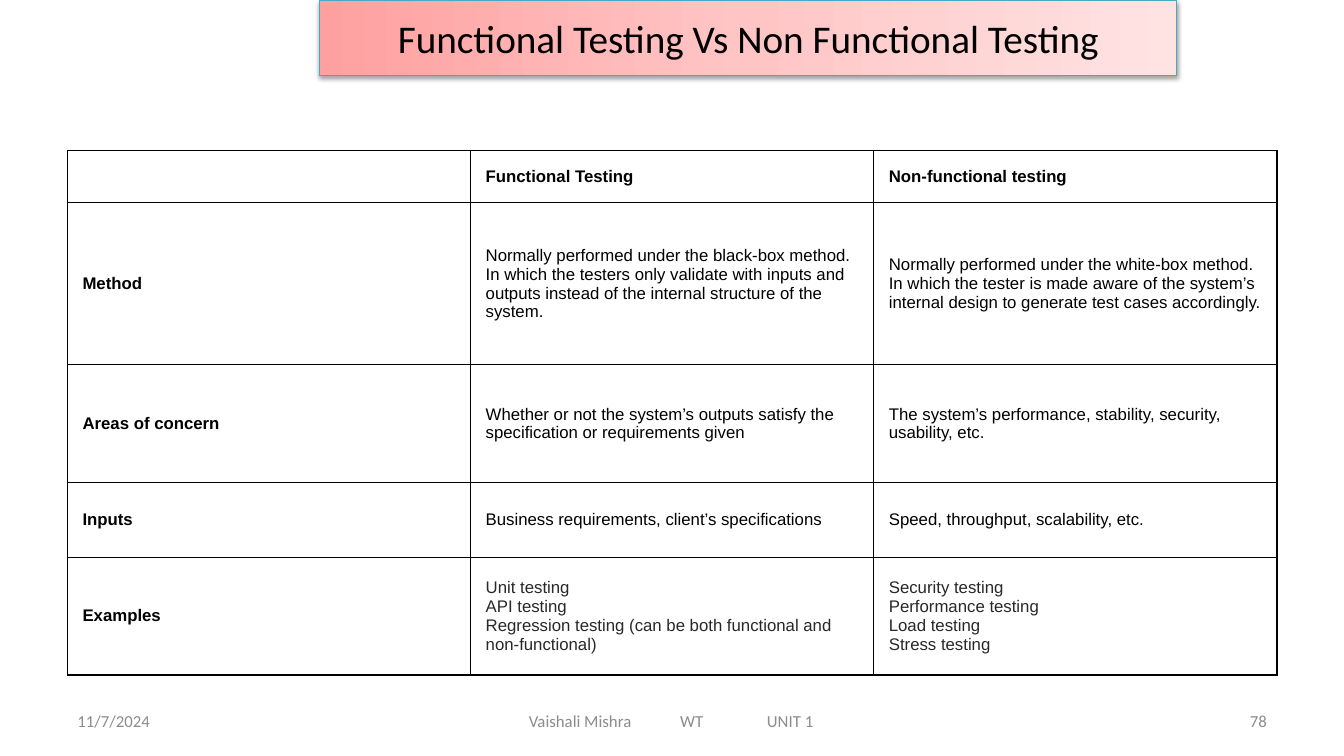
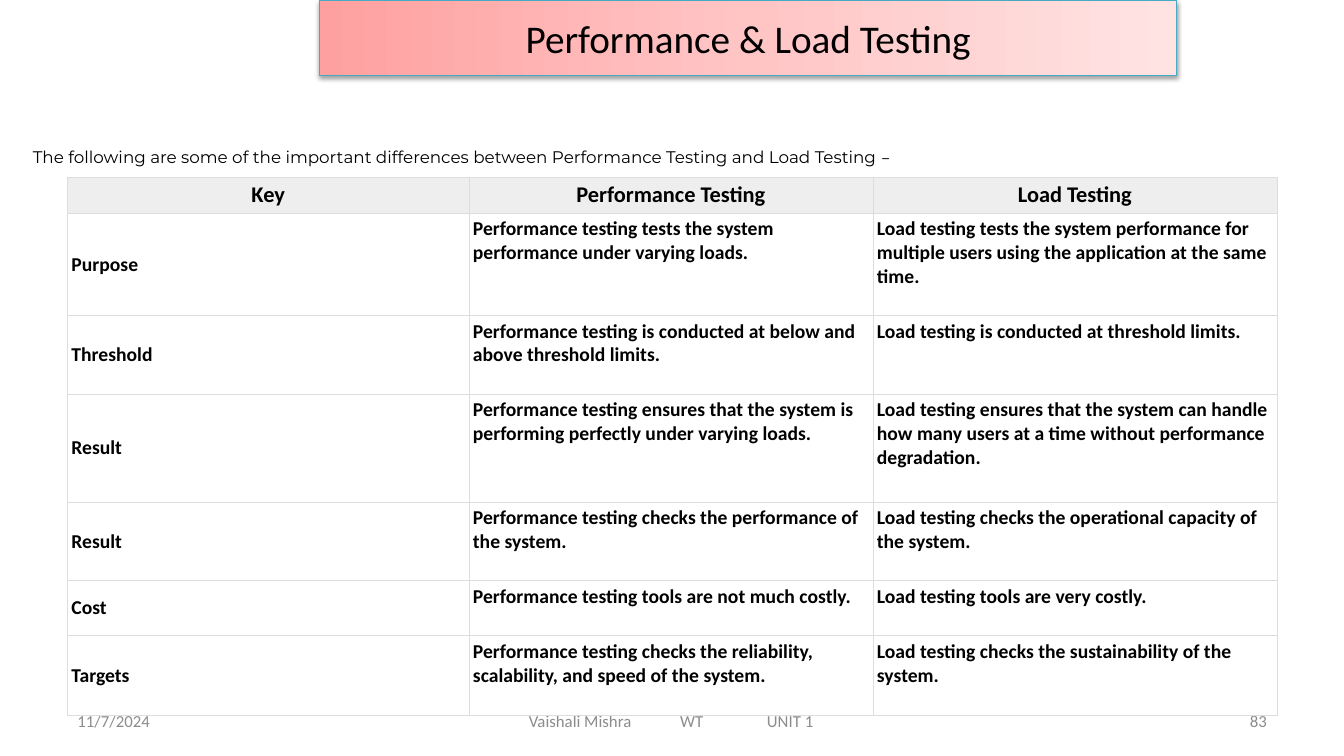
from lxml import etree
from pptx import Presentation
from pptx.dml.color import RGBColor
from pptx.enum.text import MSO_ANCHOR as Anchor, MSO_AUTO_SIZE as AutoSize, PP_ALIGN as Align
from pptx.oxml import parse_xml
from pptx.oxml.ns import nsdecls, qn
from pptx.util import Cm, Pt
from copy import deepcopy

BLACK = RGBColor(0x00, 0x00, 0x00)
WHITE = RGBColor(0xFF, 0xFF, 0xFF)
CHARCOAL = RGBColor(0x28, 0x28, 0x28)
FOOTER_GREY = RGBColor(0x8C, 0x8C, 0x8C)
HEADER_GREY = RGBColor(0xEE, 0xEE, 0xEE)
RULE_GREY = RGBColor(0xDD, 0xDD, 0xDD)
BAND_LINE = RGBColor(0x46, 0xAA, 0xC5)
BAND_STOPS = [(0, RGBColor(0xFF, 0xA0, 0xA0)), (0.5, RGBColor(0xFF, 0xC5, 0xC5)),
              (1, RGBColor(0xFF, 0xE3, 0xE3))]

# Content
DATE = "11/7/2024"
FOOTER = "Vaishali Mishra\tWT\tUNIT 1"
FOOTER_TABS = (3.81, 6)

FUNCTIONAL_ROWS = [
    ("", "Functional Testing", "Non-functional testing"),
    ("Method",
     "Normally performed under the black-box method. In which the testers only validate with "
     "inputs and outputs instead of the internal structure of the system.",
     "Normally performed under the white-box method. In which the tester is made aware of the "
     "system’s internal design to generate test cases accordingly."),
    ("Areas of concern",
     "Whether or not the system’s outputs satisfy the specification or requirements given",
     "The system’s performance, stability, security, usability, etc."),
    ("Inputs", "Business requirements, client’s specifications",
     "Speed, throughput, scalability, etc."),
    ("Examples",
     "Unit testing\nAPI testing\nRegression testing (can be both functional and non-functional)",
     "Security testing\nPerformance testing\nLoad testing\nStress testing"),
]

INTRO = ("The following are some of the important differences between "
         "Performance Testing and Load Testing ")
LOAD_ROWS = [
    ("Key", "Performance Testing", "Load Testing"),
    ("Purpose", "Performance testing tests the system performance under varying loads.",
     "Load testing tests the system performance for multiple users using the application "
     "at the same time."),
    ("Threshold", "Performance testing is conducted at below and above threshold limits.",
     "Load testing is conducted at threshold limits."),
    ("Result",
     "Performance testing ensures that the system is performing perfectly under varying loads.",
     "Load testing ensures that the system can handle how many users at a time without "
     "performance degradation."),
    ("Result", "Performance testing checks the performance of the system.",
     "Load testing checks the operational capacity of the system."),
    ("Cost", "Performance testing tools are not much costly.",
     "Load testing tools are very costly."),
    ("Targets",
     "Performance testing checks the reliability, scalability, and speed of the system.",
     "Load testing checks the sustainability of the system."),
]


def functional_style(row, column):
    """Bold headings and labels; the list of examples is charcoal."""
    is_label = row == 0 or column == 0
    is_example = row == len(FUNCTIONAL_ROWS) - 1 and not is_label
    font = {"name": "Arial", "size": Pt(12), "bold": is_label}
    return font, CHARCOAL if is_example else BLACK, WHITE, Align.LEFT, Anchor.MIDDLE


def load_style(row, column):
    """Grey centred header row; only the label column is centred vertically."""
    is_header = row == 0
    font = {"name": "Calibri", "size": Pt(16 if is_header else 14), "bold": True}
    return (font, BLACK, HEADER_GREY if is_header else WHITE,
            Align.CENTER if is_header else Align.LEFT,
            Anchor.MIDDLE if is_header or column == 0 else Anchor.TOP)


SLIDES = [
    {"title": "Functional Testing Vs Non Functional Testing", "number": "78",
     "table": {"rows": FUNCTIONAL_ROWS, "top": 3.79, "widths": (10.16, 10.16, 10.16),
               "heights": (1.32, 4.08, 2.97, 1.88, 2.97), "inset": 0.38,
               "rule": (BLACK, 1), "style": functional_style}},
    {"title": "Performance & Load Testing", "number": "83", "intro": INTRO,
     "table": {"rows": LOAD_ROWS, "top": 4.46, "widths": (10.12, 10.18, 10.18),
               "heights": (0.91, 2.58, 1.98, 2.72, 1.98, 1.39, 2.01), "inset": 0.1,
               "rule": (RULE_GREY, 0.6), "style": load_style}},
]


def set_font(target, color, **values):
    for name, value in values.items():
        setattr(target.font, name, value)
    target.font.color.rgb = color


def add_text(slide, box, text, color, align, **font):
    shape = slide.shapes.add_textbox(*map(Cm, box))
    frame = shape.text_frame
    frame.word_wrap = True
    frame.vertical_anchor = Anchor.MIDDLE
    paragraph = frame.paragraphs[0]
    paragraph.alignment = align
    run = paragraph.add_run()
    run.text = text
    set_font(run, color, **font)
    return frame


def style_title(title, text):
    """Pink gradient band with a soft shadow."""
    title.left, title.top, title.width, title.height = map(Cm, (8.06, 0, 21.59, 1.9))
    title.fill.gradient()
    title.fill.gradient_angle = 0
    stop_list = title.fill.gradient_stops
    first_stop = title._element.spPr.find(".//" + qn("a:gs"))
    first_stop.addnext(deepcopy(first_stop))
    stop_list = title.fill.gradient_stops
    for stop, (position, color) in zip(stop_list, BAND_STOPS):
        stop.position = position
        stop.color.rgb = color
    title.line.color.rgb = BAND_LINE
    title.line.width = Pt(0.75)
    title._element.spPr.append(parse_xml(
        f'<a:effectLst {nsdecls("a")}><a:outerShdw blurRad="40000" dist="20000" dir="5400000" '
        'rotWithShape="0"><a:srgbClr val="000000"><a:alpha val="38000"/></a:srgbClr>'
        '</a:outerShdw></a:effectLst>'))
    frame = title.text_frame
    frame.text = text
    frame.auto_size = AutoSize.NONE
    frame.vertical_anchor = Anchor.MIDDLE
    paragraph = frame.paragraphs[0]
    paragraph.alignment = Align.CENTER
    set_font(paragraph.runs[0], BLACK, name="Calibri", size=Pt(28))


def add_footer(slide, number):
    font = {"name": "Calibri", "size": Pt(12)}
    top, height = 17.65, 1.02
    add_text(slide, (1.7, top, 7.9, height), DATE, FOOTER_GREY, Align.LEFT, **font)
    add_text(slide, (24.28, top, 7.9, height), number, FOOTER_GREY, Align.RIGHT, **font)
    frame = add_text(slide, (11.58, top, 10.72, height), FOOTER, FOOTER_GREY, Align.LEFT, **font)
    frame.margin_left = Cm(1.75)
    tab_list = etree.SubElement(frame.paragraphs[0]._p.get_or_add_pPr(), qn("a:tabLst"))
    for position in FOOTER_TABS:
        etree.SubElement(tab_list, qn("a:tab"), pos=str(Cm(position)), algn="l")


def add_borders(cell, color, width):
    properties = cell._tc.get_or_add_tcPr()
    for side in ("lnL", "lnR", "lnT", "lnB"):
        properties.append(parse_xml(
            f'<a:{side} {nsdecls("a")} w="{Pt(width)}"><a:solidFill><a:srgbClr val="{color}"/>'
            f'</a:solidFill></a:{side}>'))


def add_table(slide, rows, top, widths, heights, inset, rule, style):
    box = map(Cm, (1.7, top, sum(widths), sum(heights)))
    table = slide.shapes.add_table(len(rows), len(widths), *box).table
    table.first_row = table.horz_banding = False
    for column, width in zip(table.columns, widths):
        column.width = Cm(width)
    for row, height in zip(table.rows, heights):
        row.height = Cm(height)
    for row_index, texts in enumerate(rows):
        for column_index, text in enumerate(texts):
            cell = table.cell(row_index, column_index)
            font, color, fill, align, anchor = style(row_index, column_index)
            add_borders(cell, *rule)
            cell.fill.solid()
            cell.fill.fore_color.rgb = fill
            for side in ("left", "right", "top", "bottom"):
                setattr(cell, f"margin_{side}", Cm(inset))
            cell.vertical_anchor = anchor
            cell.text = text
            for paragraph in cell.text_frame.paragraphs:
                paragraph.alignment = align
                set_font(paragraph, color, **font)
                for run in paragraph.runs:
                    set_font(run, color, **font)


def main():
    presentation = Presentation()
    presentation.slide_width, presentation.slide_height = Cm(33.87), Cm(19.05)
    title_only = presentation.slide_layouts[5]
    for content in SLIDES:
        slide = presentation.slides.add_slide(title_only)
        style_title(slide.shapes.title, content["title"])
        add_footer(slide, content["number"])
        if "intro" in content:
            frame = add_text(slide, (0.58, 3.56, 33.12, 0.77), content["intro"], BLACK,
                             Align.JUSTIFY, name="Montserrat", size=Pt(12))
            dash = frame.paragraphs[0].add_run()
            dash.text = "−"
            set_font(dash, BLACK, name="Quicksand", size=Pt(12))
        add_table(slide, **content["table"])
    presentation.save("out.pptx")


if __name__ == "__main__":
    main()
